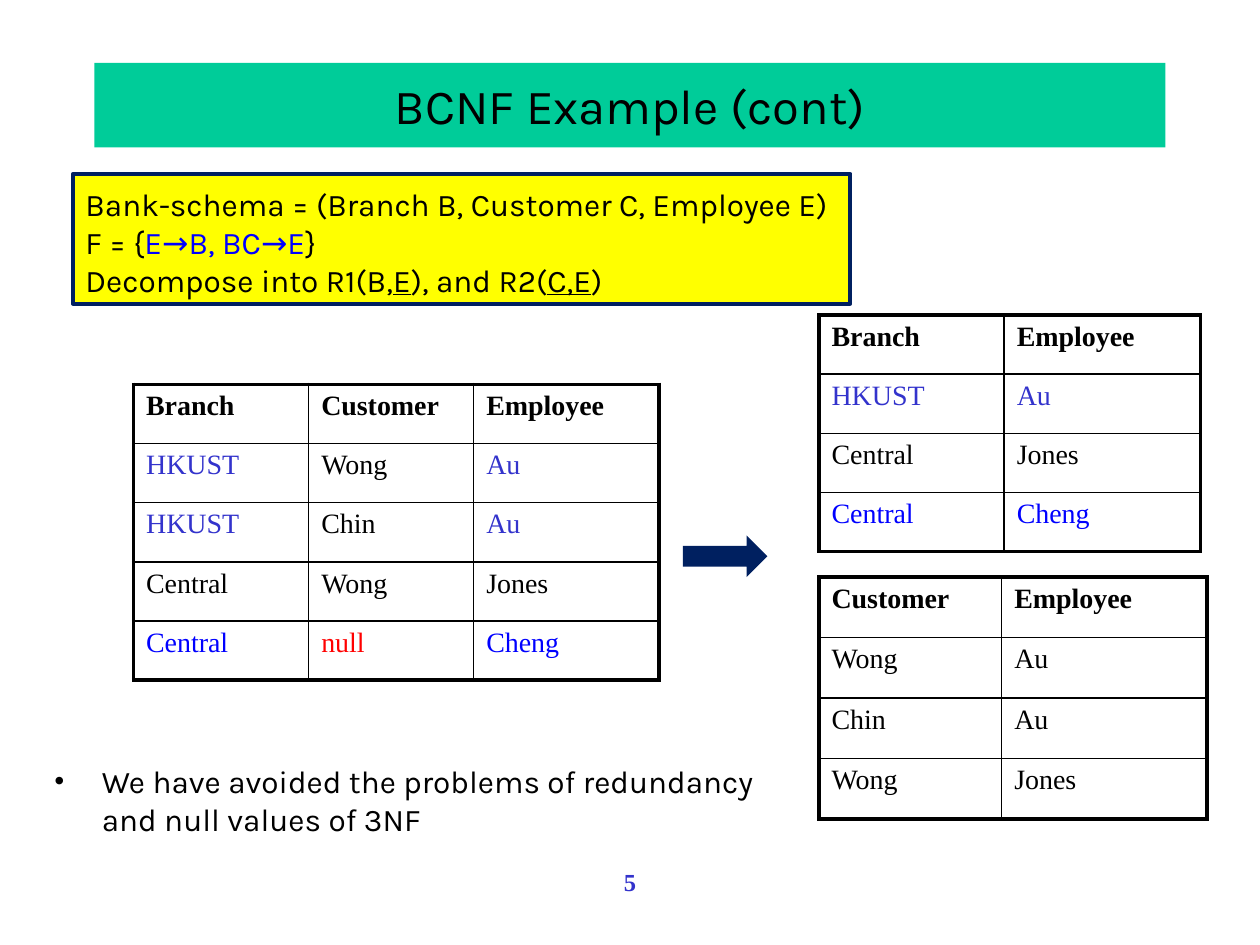
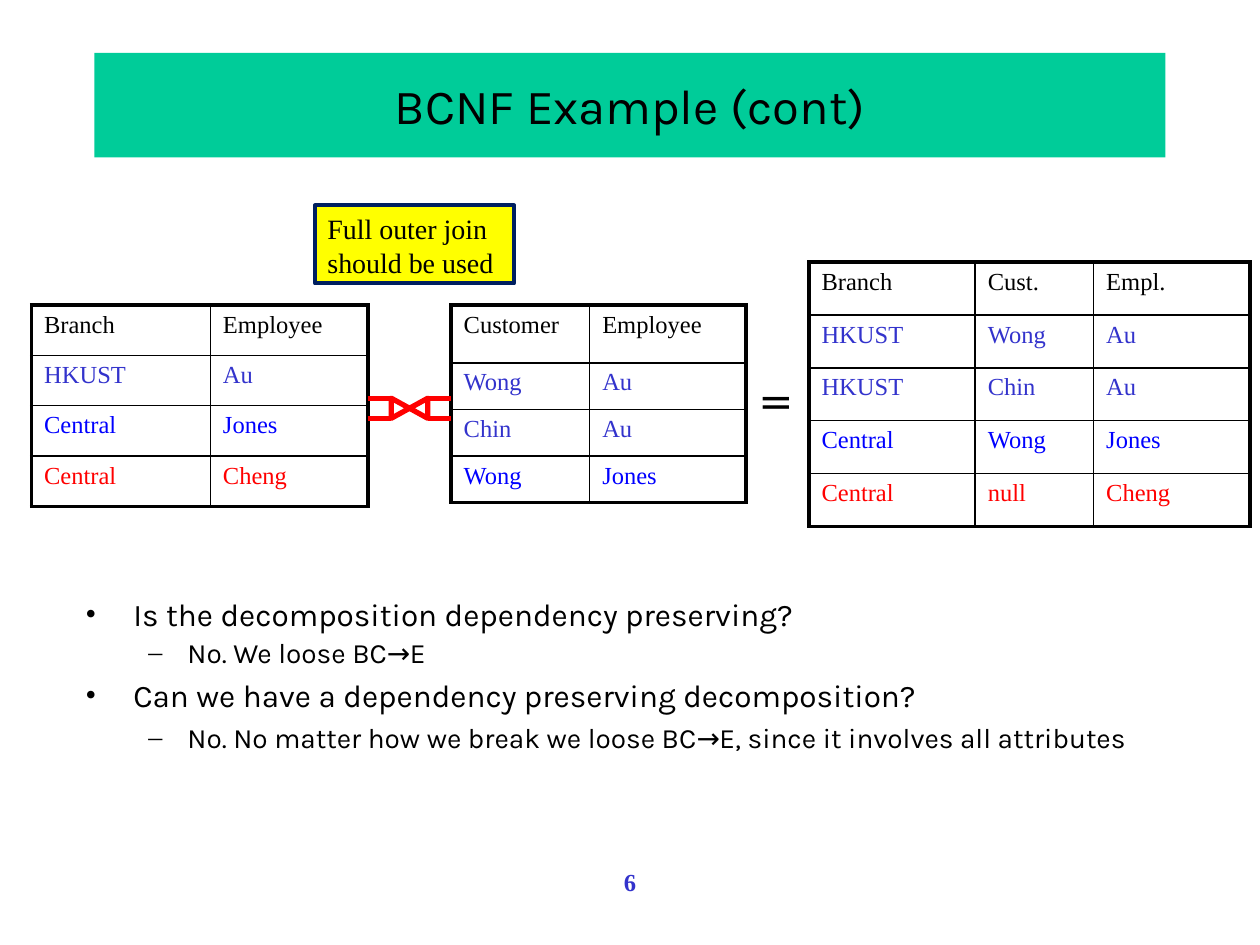
from dataclasses import dataclass

from lxml import etree
from pptx import Presentation
from pptx.dml.color import RGBColor
from pptx.enum.shapes import MSO_CONNECTOR, MSO_SHAPE
from pptx.enum.text import MSO_ANCHOR, PP_ALIGN
from pptx.oxml.ns import qn
from pptx.util import Inches, Pt

RECTANGLE = MSO_SHAPE.RECTANGLE
RIGHT_ARROW = MSO_SHAPE.RIGHT_ARROW
COLLATE = MSO_SHAPE.FLOWCHART_COLLATE
STRAIGHT = MSO_CONNECTOR.STRAIGHT
TOP, MIDDLE = MSO_ANCHOR.TOP, MSO_ANCHOR.MIDDLE
LEFT, CENTER = PP_ALIGN.LEFT, PP_ALIGN.CENTER


@dataclass(frozen=True)
class Theme:
    black: str = "000000"
    blue: str = "0000FF"
    indigo: str = "3333CC"
    red: str = "FF0000"
    navy: str = "002060"
    yellow: str = "FFFF00"
    green: str = "00CC99"
    sans: str = "Karla"
    serif: str = "Times New Roman"
    symbol: str = "DejaVu Sans"
    title_size: int = 28
    symbol_size: int = 24
    body_size: int = 18
    medium_size: int = 16
    small_size: int = 14
    thin: float = 1
    thick: float = 2.25
    heavy: float = 3
    paragraph_gap: float = 0.23  # share of the type size


THEME = Theme()
BULLET_LEVELS = [
    # mark, text indent, hanging indent, type size
    ("•", 0.38, 0.38, THEME.body_size),
    ("–", 0.81, 0.31, THEME.medium_size),
]


def rgb(colour):
    return RGBColor.from_string(colour)


def inches(box):
    return [Inches(length) for length in box]


def write(para, text, size=THEME.body_size, font=THEME.sans, colour=THEME.black,
          bold=False, underline=False, align=LEFT):
    """Append one formatted span to a paragraph."""
    para.alignment = align
    span = para.add_run()
    span.text = text
    span.font.size = Pt(size)
    span.font.name = font
    span.font.color.rgb = rgb(colour)
    span.font.bold = bold
    span.font.underline = underline


def next_paragraph(frame, index):
    return frame.add_paragraph() if index else frame.paragraphs[0]


def add_text_box(page, box, wrap=True):
    frame = page.shapes.add_textbox(*inches(box)).text_frame
    frame.word_wrap = wrap
    return frame


def add_block(page, kind, box, fill=None, line=None, width=THEME.thick):
    shape = page.shapes.add_shape(kind, *inches(box))
    shape.shadow.inherit = False
    if fill:
        shape.fill.solid()
        shape.fill.fore_color.rgb = rgb(fill)
    else:
        shape.fill.background()
    if line:
        shape.line.color.rgb = rgb(line)
        shape.line.width = Pt(width)
    else:
        shape.line.fill.background()
    return shape


def add_line(page, start, end, colour, width):
    line = page.shapes.add_connector(STRAIGHT, *inches(start + end))
    line.line.color.rgb = rgb(colour)
    line.line.width = Pt(width)
    etree.SubElement(line._element.spPr, qn("a:effectLst"))


def add_title(page, text, box):
    frame = add_block(page, RECTANGLE, box, THEME.green).text_frame
    frame.word_wrap = True
    frame.vertical_anchor = MIDDLE
    write(frame.paragraphs[0], text, size=THEME.title_size, align=CENTER)


def add_page_number(page, number):
    frame = add_text_box(page, (0.5, 6.83, 9, 0.5))
    write(frame.paragraphs[0], str(number), size=THEME.small_size,
          font=THEME.serif, colour=THEME.indigo, bold=True, align=CENTER)


def add_note(page, box, lines, top_inset=0.05, **style):
    """Yellow box; each line is a list of (text, format) spans."""
    frame = add_block(page, RECTANGLE, box, THEME.yellow, THEME.navy).text_frame
    frame.word_wrap = True
    frame.vertical_anchor = TOP
    frame.margin_top = Inches(top_inset)
    for index, spans in enumerate(lines):
        para = next_paragraph(frame, index)
        for text, changes in spans:
            write(para, text, **{**style, **changes})


def set_bullet(para, mark, indent, hanging):
    properties = para._p.get_or_add_pPr()
    properties.set("marL", str(Inches(indent)))
    properties.set("indent", str(-Inches(hanging)))
    etree.SubElement(properties, qn("a:buFont"), typeface=THEME.serif)
    etree.SubElement(properties, qn("a:buChar"), char=mark)


def add_bullets(page, box, items):
    """Items are (level, text, line spacing)."""
    frame = add_text_box(page, box)
    for index, (level, text, spacing) in enumerate(items):
        mark, indent, hanging, size = BULLET_LEVELS[level]
        para = next_paragraph(frame, index)
        para.level = level
        set_bullet(para, mark, indent, hanging)
        para.line_spacing = spacing
        if index:
            para.space_before = Pt(size * THEME.paragraph_gap)
        write(para, text, size=size)


def set_borders(cell, outer_sides):
    """Thick lines on the outer sides given, thin lines on the others."""
    properties = cell._tc.get_or_add_tcPr()
    for index, side in enumerate("LRTB"):
        width = THEME.thick if side in outer_sides else THEME.thin
        line = etree.Element(qn(f"a:ln{side}"), w=str(Pt(width)))
        fill = etree.SubElement(line, qn("a:solidFill"))
        etree.SubElement(fill, qn("a:srgbClr"), val=THEME.black)
        properties.insert(index, line)


def add_relation(page, position, widths, heights, header, rows,
                 size, bold_header=False):
    """Rows are (colour, values); a value may be (text, own colour)."""
    lines = [(THEME.black, header)] + rows
    box = (*position, sum(widths), sum(heights))
    table = page.shapes.add_table(len(lines), len(widths), *inches(box)).table
    table.first_row = table.horz_banding = False
    for column, width in zip(table.columns, widths):
        column.width = Inches(width)
    for row, height in zip(table.rows, heights):
        row.height = Inches(height)

    last_row, last_column = len(lines) - 1, len(widths) - 1
    for y, (row_colour, values) in enumerate(lines):
        for x, value in enumerate(values):
            text, colour = value if isinstance(value, tuple) else (value, row_colour)
            cell = table.cell(y, x)
            cell.fill.background()
            edges = {"L": x == 0, "R": x == last_column,
                     "T": y == 0, "B": y == last_row}
            set_borders(cell, [side for side in edges if edges[side]])
            write(cell.text_frame.paragraphs[0], text, size=size,
                  font=THEME.serif, colour=colour, bold=bold_header and y == 0)


def add_outer_join(page, box):
    """Bow tie with two short bars at each side."""
    left, top, width, height = box
    tie_width = 0.29
    middle_x, middle_y = left + width / 2, top + height / 2
    tie_box = (middle_x - height / 2, middle_y - tie_width / 2, height, tie_width)
    tie = add_block(page, COLLATE, tie_box, line=THEME.red, width=THEME.heavy)
    tie.rotation = 270
    bar = (width - tie_width) / 2
    for y in (top, top + height):
        for x in (left, left + width - bar):
            add_line(page, (x, y), (x + bar, y), THEME.red, THEME.heavy)


def build_decomposition(page):
    add_title(page, "BCNF Example (cont)", (0.75, 0.5, 8.5, 0.67))
    key = {"underline": True}
    add_note(page, (0.58, 1.38, 6.17, 1.03), [
        [("Bank-schema = (Branch B, Customer C, Employee E)", {})],
        [("F = {", {}), ("E→B, BC→E", {"colour": THEME.blue}), ("}", {})],
        [("Decompose into R1(B,", {}), ("E", key), ("), and R2(", {}),
         ("C,E", key), (")", {})],
    ], top_inset=0.09)

    style = {"size": THEME.medium_size, "bold_header": True}
    add_relation(page, (1.06, 3.05), [1.39, 1.31, 1.47], [0.47] * 5,
                 ["Branch", "Customer", "Employee"], [
        (THEME.indigo, ["HKUST", ("Wong", THEME.black), "Au"]),
        (THEME.indigo, ["HKUST", ("Chin", THEME.black), "Au"]),
        (THEME.black, ["Central", "Wong", "Jones"]),
        (THEME.blue, ["Central", ("null", THEME.red), "Cheng"]),
    ], **style)
    add_relation(page, (6.5, 2.5), [1.47, 1.56], [0.47] * 4,
                 ["Branch", "Employee"], [
        (THEME.indigo, ["HKUST", "Au"]),
        (THEME.black, ["Central", "Jones"]),
        (THEME.blue, ["Central", "Cheng"]),
    ], **style)
    add_relation(page, (6.5, 4.58), [1.45, 1.63], [0.48] * 4,
                 ["Customer", "Employee"], [
        (THEME.black, ["Wong", "Au"]),
        (THEME.black, ["Chin", "Au"]),
        (THEME.black, ["Wong", "Jones"]),
    ], **style)

    add_bullets(page, (0.33, 6, 6, 1.17), [
        (0, "We have avoided the problems of redundancy and null values of 3NF", 1.0),
    ])
    add_block(page, RIGHT_ARROW, (5.42, 4.25, 0.67, 0.33), THEME.navy)


def build_join(page):
    add_title(page, "BCNF Example (cont)", (0.75, 0.42, 8.5, 0.83))
    size = THEME.small_size
    add_relation(page, (0.25, 2.42), [1.42, 1.25], [0.4] * 4,
                 ["Branch", "Employee"], [
        (THEME.indigo, ["HKUST", "Au"]),
        (THEME.blue, ["Central", "Jones"]),
        (THEME.red, ["Central", "Cheng"]),
    ], size)
    add_relation(page, (3.58, 2.42), [1.1, 1.24], [0.46] + [0.37] * 3,
                 ["Customer", "Employee"], [
        (THEME.indigo, ["Wong", "Au"]),
        (THEME.indigo, ["Chin", "Au"]),
        (THEME.blue, ["Wong", "Jones"]),
    ], size)
    add_relation(page, (6.42, 2.08), [1.32, 0.94, 1.24], [0.42] * 5,
                 ["Branch", "Cust.", "Empl."], [
        (THEME.indigo, ["HKUST", "Wong", "Au"]),
        (THEME.indigo, ["HKUST", "Chin", "Au"]),
        (THEME.blue, ["Central", "Wong", "Jones"]),
        (THEME.red, ["Central", "null", "Cheng"]),
    ], size)

    add_bullets(page, (0.58, 4.67, 9, 1.75), [
        (0, "Is the decomposition dependency preserving?", 1.0),
        (1, "No. We loose BC→E", 0.9),
        (0, "Can we have a dependency preserving decomposition?", 1.0),
        (1, "No. No matter how we break we loose BC→E, "
            "since it involves all attributes", 1.0),
    ])
    equals = add_text_box(page, (5.92, 2.92, 0.47, 0.5), wrap=False)
    write(equals.paragraphs[0], "=", size=THEME.symbol_size, font=THEME.symbol)
    add_outer_join(page, (2.92, 3.16, 0.66, 0.16))
    add_note(page, (2.5, 1.63, 1.58, 0.62),
             [[("Full outer join should be used", {})]],
             size=THEME.medium_size, font=THEME.serif)


def main():
    deck = Presentation()
    deck.slide_width, deck.slide_height = Inches(10), Inches(7.5)
    blank = deck.slide_layouts[6]
    for number, build in enumerate((build_decomposition, build_join), start=5):
        page = deck.slides.add_slide(blank)
        build(page)
        add_page_number(page, number)
    deck.save("out.pptx")


if __name__ == "__main__":
    main()
